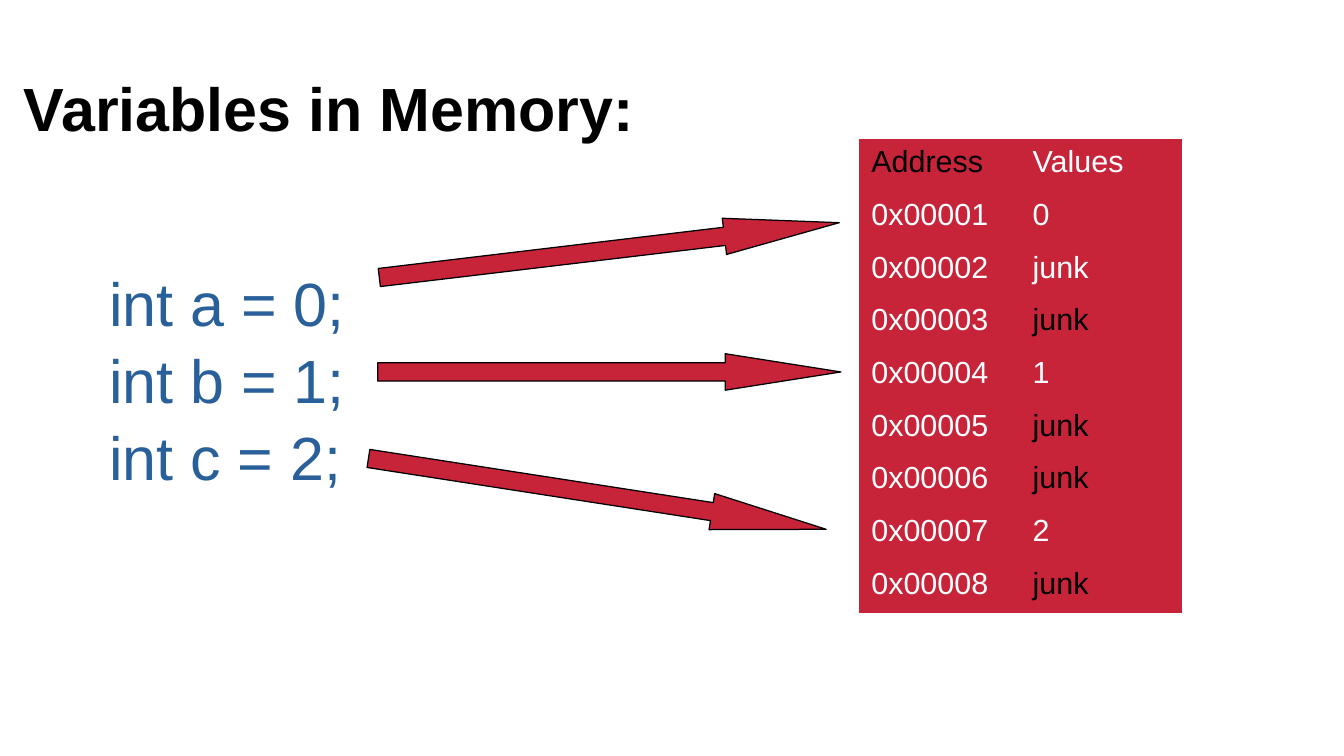
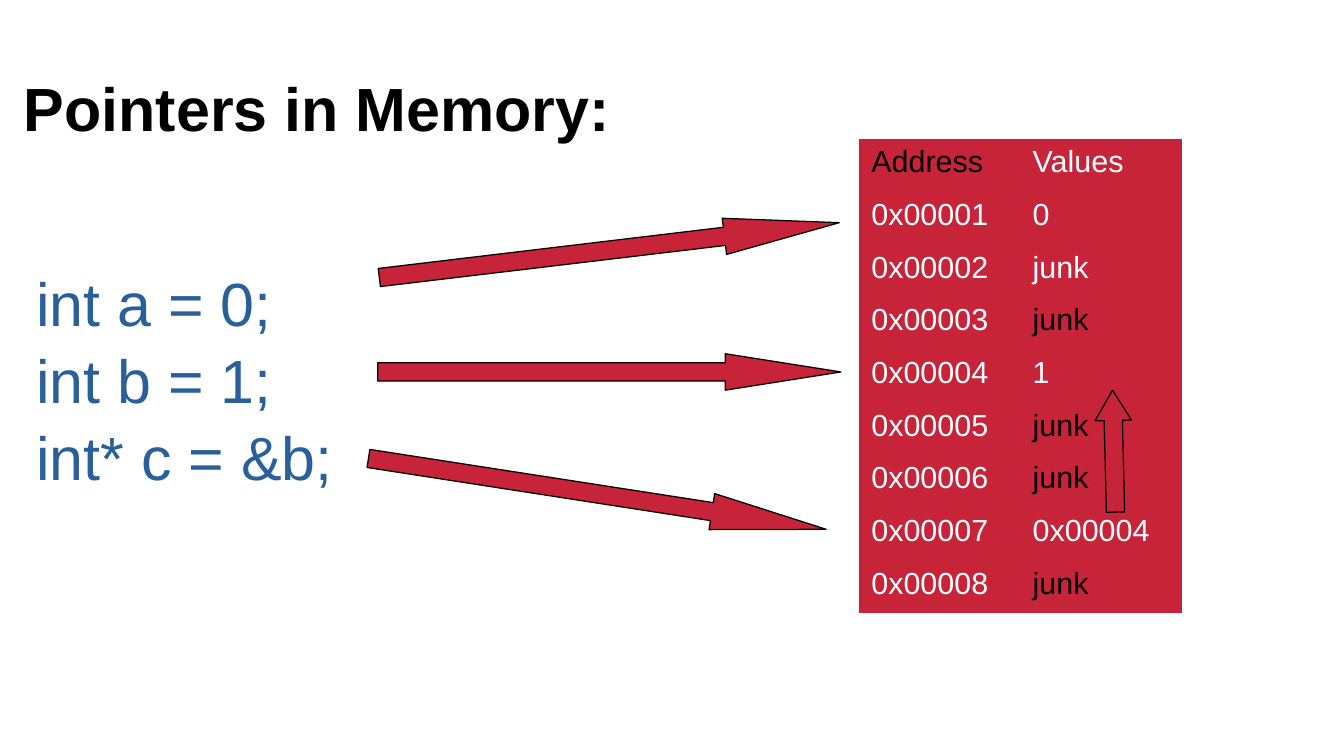
from pptx import Presentation
from pptx.dml.color import RGBColor
from pptx.enum.shapes import MSO_SHAPE
from pptx.oxml.ns import qn
from pptx.util import Cm, Pt

COLORS = {"red": "C7243A", "blue": "2A6099", "black": "000000", "white": "FFFFFF"}
FONT = "Arial"
NO_STYLE = "{2D5ABB26-0587-4C30-8999-92F81FD0307C}"
TITLE_BOX = (0.25, 1.27, 25.9, 1.68)
TABLE_BOX = (17.9, 2.9, 6.72, 9.88)
VARIABLE_ARROWS = [
    ((7.87, 4.83, 9.65, 0.76), -6.8),
    ((7.87, 7.37, 9.65, 0.76), 0),
    ((7.62, 9.91, 9.65, 0.76), 8.8),
]
POINTER_BOX = (22.83, 8.13, 0.76, 2.54)
SLIDES = [
    {
        "title": "Variables in Memory:",
        "code": ["int a = 0;", "int b = 1;", "int c = 2;"],
        "code_box": (2.03, 5.33, 5.59, 7.47),
        "values": ["0", "junk", "junk", "1", "junk", "junk", "2", "junk"],
        "pointer": False,
    },
    {
        "title": "Pointers in Memory:",
        "code": ["int a = 0;", "int b = 1;", "int* c = &b;"],
        "code_box": (0.51, 5.33, 7.11, 7.47),
        "values": ["0", "junk", "junk", "1", "junk", "junk", "0x00004", "junk"],
        "pointer": True,
    },
]


def rgb(name):
    """Return the named colour."""
    return RGBColor.from_string(COLORS[name])


def add_run(p, text, size, color, bold=False):
    """Add one styled run to a paragraph."""
    r = p.add_run()
    r.text = text
    r.font.name = FONT
    r.font.size = Pt(size)
    r.font.bold = bold
    r.font.color.rgb = rgb(color)


def add_lines(s, box, lines, color, bold=False):
    """Place a text box with one paragraph for each line."""
    tf = s.shapes.add_textbox(*map(Cm, box)).text_frame
    tf.word_wrap = True
    for i, line in enumerate(lines):
        p = tf.add_paragraph() if i else tf.paragraphs[0]
        p.line_spacing = 1.05
        add_run(p, line, 36, color, bold)


def add_memory(s, box, values):
    """Place the table of addresses and their values."""
    rows = [("Address", "Values")]
    rows += [(f"0x{i:05}", value) for i, value in enumerate(values, 1)]
    table = s.shapes.add_table(len(rows), 2, *map(Cm, box)).table
    table.first_row = table.horz_banding = False
    table._tbl.tblPr.find(qn("a:tableStyleId")).text = NO_STYLE
    for i, row in enumerate(rows):
        for j, text in enumerate(row):
            cell = table.cell(i, j)
            cell.fill.solid()
            cell.fill.fore_color.rgb = rgb("red")
            dark = text == "Address" or (text == "junk" and i > 2)
            add_run(cell.text_frame.paragraphs[0], text, 18, "black" if dark else "white")


def add_arrow(s, box, rotation, kind=MSO_SHAPE.RIGHT_ARROW, head=3.17):
    """Place a block arrow with a thin outline."""
    sp = s.shapes.add_shape(kind, *map(Cm, box))
    sp.shadow.inherit = False
    sp.adjustments[0] = 0.5
    sp.adjustments[1] = head
    sp.rotation = rotation
    sp.fill.solid()
    sp.fill.fore_color.rgb = rgb("red")
    sp.line.color.rgb = rgb("black")
    sp.line.width = Pt(0)


def add_memory_slide(prs, title, code, code_box, values, pointer):
    """Build a slide that links code lines to memory cells."""
    s = prs.slides.add_slide(prs.slide_layouts[6])
    add_lines(s, TITLE_BOX, [title], "black", bold=True)
    add_lines(s, code_box, code, "blue")
    add_memory(s, TABLE_BOX, values)
    for box, rotation in VARIABLE_ARROWS:
        add_arrow(s, box, rotation)
    if pointer:
        add_arrow(s, POINTER_BOX, -1.4, MSO_SHAPE.UP_ARROW, 0.83)


def main():
    """Build and save the presentation."""
    prs = Presentation()
    prs.slide_width, prs.slide_height = Cm(28), Cm(15.75)
    for content in SLIDES:
        add_memory_slide(prs, **content)
    prs.save("out.pptx")


if __name__ == "__main__":
    main()
